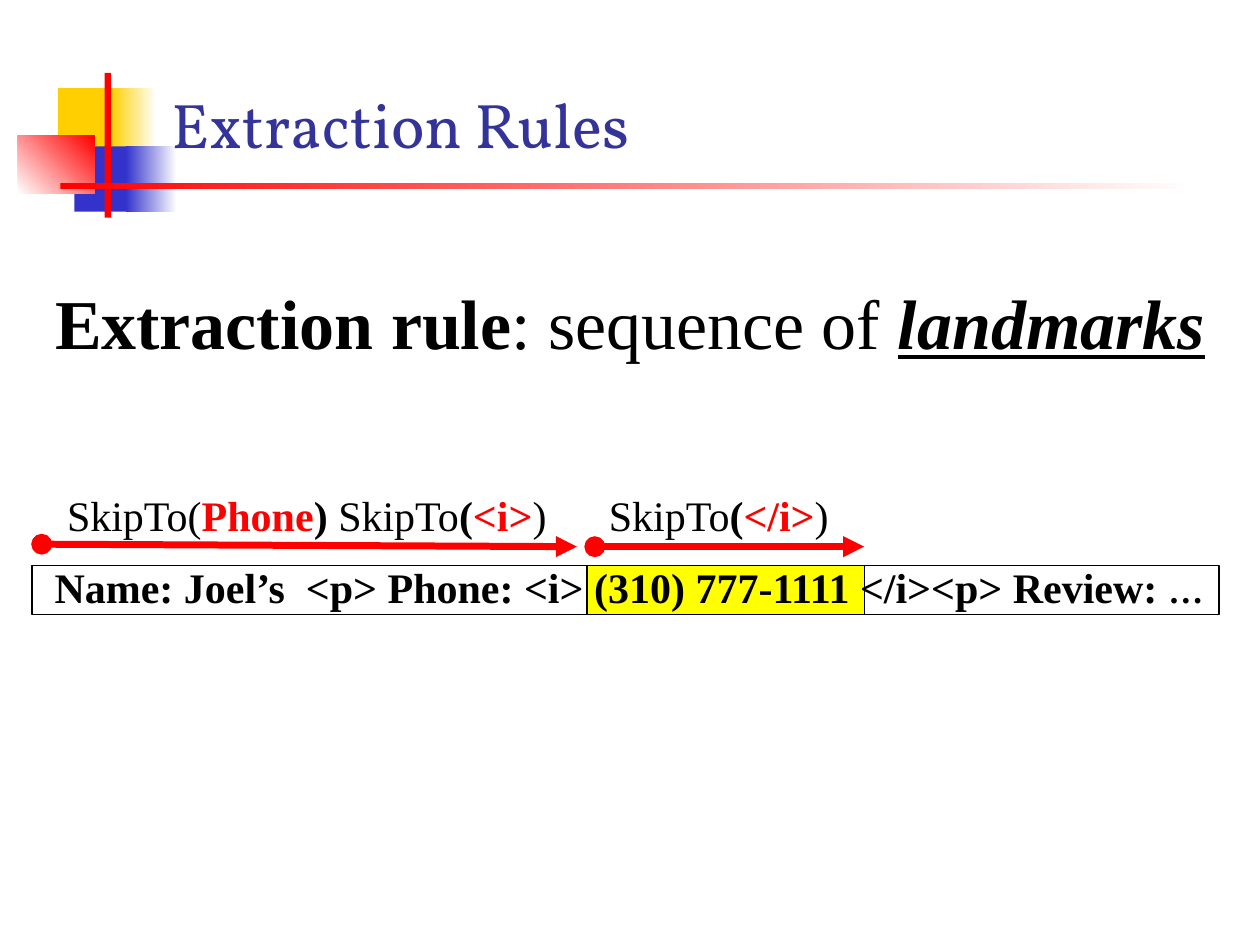
from lxml import etree
from pptx import Presentation
from pptx.dml.color import RGBColor
from pptx.enum.shapes import MSO_CONNECTOR, MSO_SHAPE
from pptx.enum.text import MSO_ANCHOR, PP_ALIGN
from pptx.oxml.ns import qn
from pptx.util import Cm, Pt

RECTANGLE = MSO_SHAPE.RECTANGLE
STRAIGHT = MSO_CONNECTOR.STRAIGHT
BOTTOM = MSO_ANCHOR.BOTTOM
LEFT, CENTER = PP_ALIGN.LEFT, PP_ALIGN.CENTER
BLACK, WHITE, RED = "000000", "FFFFFF", "FF0000"
YELLOW, GOLD, BLUE = "FFFF00", "FFCF01", "3333CC"


def color(hex_string):
    return RGBColor.from_string(hex_string)


def add_text(place, size, align, wrap, runs):
    """Add a text box; each run is (text, style letters b/i/u, colour)."""
    box = slide.shapes.add_textbox(*[Cm(value) for value in place])
    box.text_frame.word_wrap = wrap
    para = box.text_frame.paragraphs[0]
    para.alignment = align
    for text, style, run_color in runs:
        span = para.add_run()
        span.text = text
        span.font.name = "Times New Roman"
        span.font.size = Pt(size)
        span.font.bold = "b" in style
        span.font.italic = "i" in style
        span.font.underline = "u" in style
        span.font.color.rgb = color(run_color)
    return box


deck = Presentation()
deck.slide_width, deck.slide_height = Cm(25.4), Cm(19.05)
slide = deck.slides.add_slide(deck.slide_layouts[5])

# Corner ornament and title rule: place, start colour, end colour, angle
ornaments = [
    ((1.17, 1.78, 1.22, 1.32), GOLD, None, 0),
    ((2.24, 1.78, 0.91, 1.32), GOLD, WHITE, 0),
    ((1.5, 2.95, 1.17, 1.32), BLUE, None, 0),
    ((2.54, 2.95, 1.02, 1.32), BLUE, WHITE, 0),
    ((0.36, 2.74, 1.55, 1.17), WHITE, RED, 45),
    ((2.11, 1.47, 0.13, 2.92), RED, None, 0),
    ((1.22, 3.68, 22.86, 0.13), RED, WHITE, 0),
]
for place, start, end, angle in ornaments:
    block = slide.shapes.add_shape(RECTANGLE, *[Cm(value) for value in place])
    block.shadow.inherit = False
    block.line.fill.background()
    if end is None:
        block.fill.solid()
        block.fill.fore_color.rgb = color(start)
    else:
        block.fill.gradient()
        block.fill.gradient_angle = angle
        for stop, stop_color in zip(block.fill.gradient_stops, (start, end)):
            stop.color.rgb = color(stop_color)

# Title, in front of the ornament
title = slide.shapes.title
slide.shapes._spTree.append(title._element)
title.left, title.top, title.width, title.height = Cm(3.2), Cm(1.27), Cm(21.64), Cm(2.11)
title.text_frame.text = "Extraction Rules"
title.text_frame.vertical_anchor = BOTTOM
para = title.text_frame.paragraphs[0]
para.alignment = LEFT
font = para.runs[0].font
font.name, font.size, font.color.rgb = "Vollkorn", Pt(36), color("333399")

# Definition
add_text((0, 5.51, 25.4, 1.96), 40, CENTER, True, [
    ("Extraction rule", "b", BLACK),
    (": sequence of ", "", BLACK),
    ("landmarks", "biu", BLACK),
])

# Page strip with the extracted phone number highlighted
for left, width, fill in [(0.64, 23.93, WHITE), (11.84, 5.59, YELLOW)]:
    strip = slide.shapes.add_shape(RECTANGLE, Cm(left), Cm(11.4), Cm(width), Cm(0.99))
    strip.shadow.inherit = False
    strip.fill.solid()
    strip.fill.fore_color.rgb = color(fill)
    strip.line.color.rgb = color(BLACK)
    strip.line.width = Pt(1)

page_text = add_text((0, 11.2, 25.4, 1.9), 24, LEFT, True, [
    ("Name: Joel’s  <p> Phone: <i> (310) 777-1111 </i><p> Review: ", "b", BLACK),
    ("…", "b", BLACK),
])
page_text.text_frame.margin_left = Cm(1.1)
page_text.text_frame.paragraphs[0].runs[-1].font.size = Pt(20)

# Skip arrows
for start_x, start_y, end_x, end_y in [(0.84, 10.97, 11.63, 11.02),
                                       (11.99, 11.02, 17.42, 11.02)]:
    arrow = slide.shapes.add_connector(
        STRAIGHT, Cm(start_x), Cm(start_y), Cm(end_x), Cm(end_y))
    arrow.line.color.rgb = color(RED)
    arrow.line.width = Pt(4)
    line = arrow.line._get_or_add_ln()
    etree.SubElement(line, qn("a:headEnd"), type="oval")
    etree.SubElement(line, qn("a:tailEnd"), type="triangle")
    etree.SubElement(arrow._element.spPr, qn("a:effectLst"))

# Labels of the skip arrows
add_text((1.04, 9.75, 10.29, 1.27), 24, CENTER, False, [
    ("SkipTo(", "", BLACK),
    ("Phone", "b", RED),
    (") ", "b", BLACK),
    ("SkipTo", "", BLACK),
    ("(", "b", BLACK),
    ("<i>", "b", RED),
    (")", "", BLACK),
])
add_text((11.99, 9.75, 5, 1.27), 24, CENTER, False, [
    ("SkipTo", "", BLACK),
    ("(", "b", BLACK),
    ("</i>", "b", RED),
    (")", "", BLACK),
])

deck.save("out.pptx")
